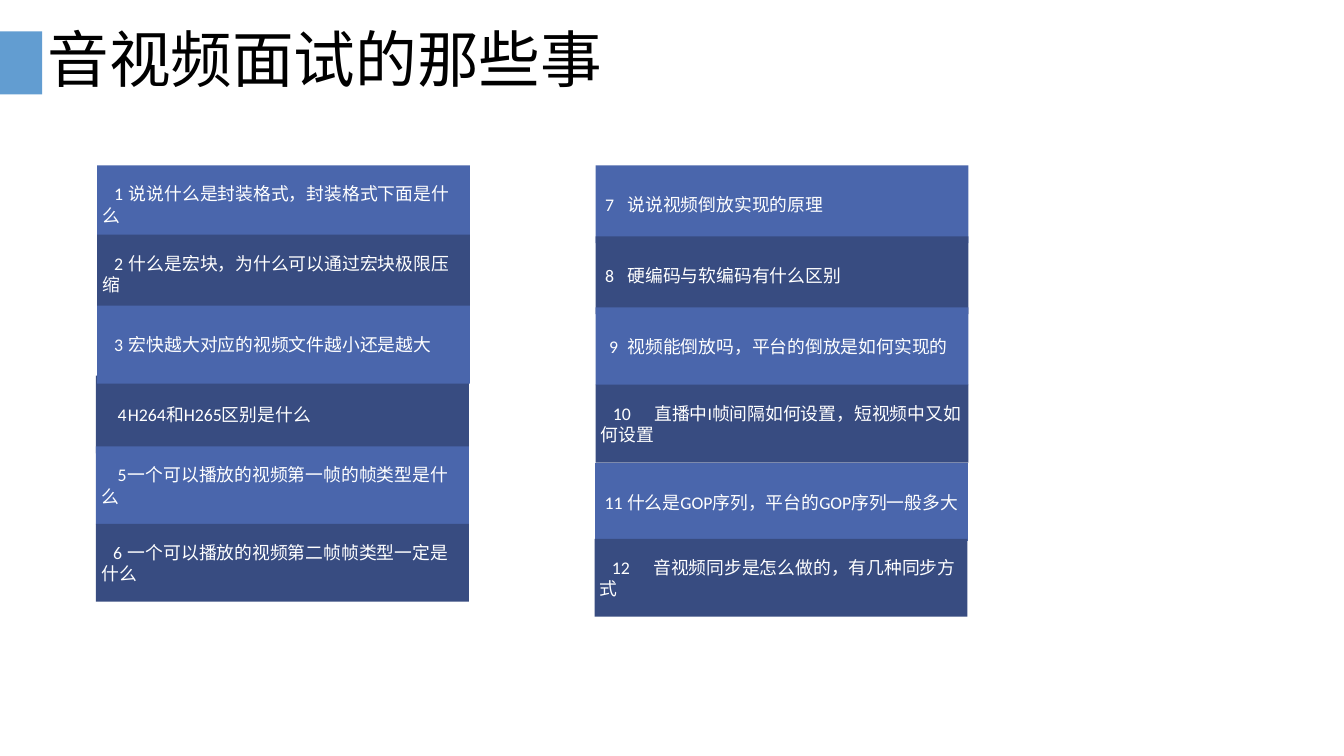
from lxml import etree
from pptx import Presentation
from pptx.dml.color import RGBColor
from pptx.enum.shapes import MSO_SHAPE
from pptx.enum.text import MSO_ANCHOR, MSO_AUTO_SIZE, PP_ALIGN
from pptx.oxml.ns import qn
from pptx.util import Pt

RECTANGLE = MSO_SHAPE.RECTANGLE
MIDDLE = MSO_ANCHOR.MIDDLE
NO_AUTOFIT = MSO_AUTO_SIZE.NONE
LEFT = PP_ALIGN.LEFT

TITLE_ONLY_LAYOUT = 5
COLORS = {
    "accent": "629DD1",
    "odd": "4A66AC",
    "even": "384C81",
    "title": "000000",
    "question": "FFFFFF",
}

# Number, left, top, number indent, text tab stop, question.
# Later bars overlap earlier ones, so bars 2 and 3 come after 4.
QUESTIONS = [
    (1, 131, 223.2, 16, 45, "说说什么是封装格式，封装格式下面是什么"),
    (4, 129.6, 506.9, 22, 45, "H264和H265区别是什么"),
    (5, 129.6, 602.6, 22, 50, "一个可以播放的视频第一帧的帧类型是什么"),
    (6, 129.6, 707, 16, 45, "一个可以播放的视频第二帧帧类型一定是什么"),
    (2, 131, 316.8, 16, 45, "什么是宏块，为什么可以通过宏块极限压缩"),
    (3, 131, 412.6, 16, 45, "宏快越大对应的视频文件越小还是越大"),
    (7, 804.2, 223.2, 5.5, 39, "说说视频倒放实现的原理"),
    (8, 804.2, 319, 5.5, 39, "硬编码与软编码有什么区别"),
    (9, 804.2, 414.7, 11, 39, "视频能倒放吗，平台的倒放是如何实现的"),
    (10, 804.2, 519.1, 16, 57, "直播中I帧间隔如何设置，短视频中又如何设置"),
    (11, 803.5, 625, 5.5, 46, "什么是GOP序列，平台的GOP序列一般多大"),
    (12, 802.8, 727.2, 16, 57, "音视频同步是怎么做的，有几种同步方式"),
]
BAR_WIDTH, BAR_HEIGHT = 503.3, 105.1


class SlideBuilder:
    font_name = "Calibri"

    def __init__(self, presentation):
        layout = presentation.slide_layouts[TITLE_ONLY_LAYOUT]
        self.slide = presentation.slides.add_slide(layout)

    def style(self, paragraph, size, color):
        paragraph.alignment = LEFT
        font = paragraph.font
        font.name = self.font_name
        font.size = Pt(size)
        font.color.rgb = RGBColor.from_string(COLORS[color])

    def title(self, text, left, top, width, height):
        shape = self.slide.shapes.title
        shape.left, shape.top = Pt(left), Pt(top)
        shape.width, shape.height = Pt(width), Pt(height)
        frame = shape.text_frame
        frame.text = text
        frame.auto_size = NO_AUTOFIT
        frame.vertical_anchor = MIDDLE
        paragraph = frame.paragraphs[0]
        paragraph.line_spacing = 0.9
        self.style(paragraph, 83.2, "title")

    def rectangle(self, left, top, width, height, color):
        shape = self.slide.shapes.add_shape(
            RECTANGLE, Pt(left), Pt(top), Pt(width), Pt(height))
        shape.shadow.inherit = False
        shape.fill.solid()
        shape.fill.fore_color.rgb = RGBColor.from_string(COLORS[color])
        shape.line.fill.background()
        return shape

    def question(self, number, left, top, indent, tab_stop, text):
        color = "odd" if number % 2 else "even"
        shape = self.rectangle(left, top, BAR_WIDTH, BAR_HEIGHT, color)
        frame = shape.text_frame
        frame.word_wrap = True
        frame.vertical_anchor = MIDDLE
        paragraph = frame.paragraphs[0]
        paragraph.text = f"{number}\t{text}"
        self.first_line(paragraph, indent, tab_stop)
        self.style(paragraph, 24, "question")

    def first_line(self, paragraph, indent, tab_stop):
        """Indent only the first line and align the text after its number."""
        properties = paragraph._p.get_or_add_pPr()
        properties.set("marL", "0")
        properties.set("indent", str(Pt(indent)))
        tabs = etree.SubElement(properties, qn("a:tabLst"))
        etree.SubElement(tabs, qn("a:tab"), pos=str(Pt(tab_stop)), algn="l")


def main():
    presentation = Presentation()
    presentation.slide_width = Pt(1814.4)
    presentation.slide_height = Pt(1020.24)
    builder = SlideBuilder(presentation)
    builder.rectangle(0, 42.5, 56.9, 85, "accent")
    builder.title("音视频面试的那些事", 56.9, 41, 1700.6, 86.4)
    for question in QUESTIONS:
        builder.question(*question)
    presentation.save("out.pptx")


if __name__ == "__main__":
    main()
